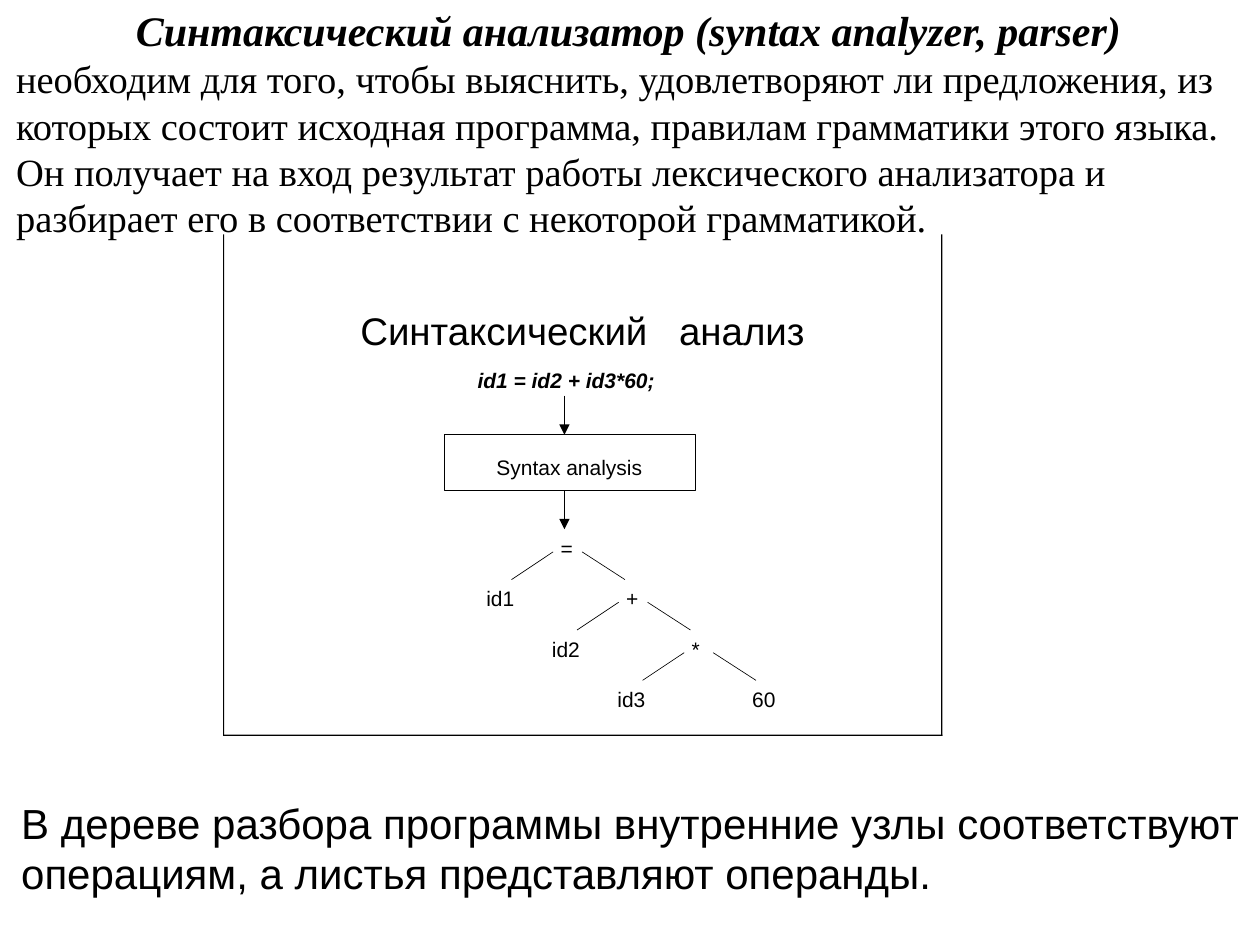
from pptx import Presentation
from pptx.dml.color import RGBColor
from pptx.enum import shapes, text
from pptx.oxml import parse_xml
from pptx.oxml.ns import nsdecls, qn
from pptx.util import Inches, Pt

BLACK = RGBColor(0, 0, 0)
THIN = Pt(0.38)
SERIF, SANS = "Times New Roman", "Arial"

TITLE = "Синтаксический анализатор (syntax analyzer, parser) "
DEFINITION = (
    "необходим для того, чтобы выяснить, удовлетворяют ли предложения, из которых "
    "состоит исходная программа, правилам грамматики этого языка. Он получает на вход "
    "результат работы лексического анализатора и разбирает его в соответствии с "
    "некоторой грамматикой."
)
CONCLUSION = (
    "В дереве разбора программы внутренние узлы соответствуют операциям, "
    "а листья представляют операнды."
)

HEADING = {"name": SANS, "size": Pt(22)}
LABEL = {"name": SANS, "size": Pt(12)}
EXPRESSION = {**LABEL, "bold": True, "italic": True}

# text, (left, top, width, height), font
DIAGRAM_LABELS = [
    ("Синтаксический", (2.86, 2.44, 2.4, 0.39), HEADING),
    ("анализ", (5.39, 2.44, 1.32, 0.39), HEADING),
    ("id1 = id2 + id3*60;", (3.79, 2.92, 1.97, 0.26), EXPRESSION),
    ("Syntax analysis", (3.94, 3.61, 1.57, 0.21), LABEL),
]
ANALYSIS_BOX = (3.53, 3.45, 1.99, 0.44)
ARROW_X = 4.48
ARROWS = [(3.14, 3.45), (3.89, 4.2)]  # top, bottom

# Each operator has a left leaf; its right child is the next operator.
TREE = [("=", "id1"), ("+", "id2"), ("*", "id3")]
LAST_LEAF = "60"
ROOT_X, ROOT_Y = 4.45, 4.25
STEP_X, STEP_Y = 0.52, 0.4
LEAF_SHIFT = -0.59
BRANCHES = [(-0.06, -0.39), (0.17, 0.51)]  # start and end, from the operator's left
BRANCH_TOP, BRANCH_BOTTOM = 0.13, 0.35

FRAME_LEFT, FRAME_TOP, FRAME_RIGHT, FRAME_BOTTOM = 1.77, 1.86, 7.48, 5.84
FRAME_LINE = 0.01


def add_text(page, place, paragraphs, margins=True):
    """Add a text box; paragraphs are (text, alignment, font) tuples."""
    box = page.shapes.add_textbox(*map(Inches, place))
    frame = box.text_frame
    frame.word_wrap = True
    if not margins:
        for side in ("left", "top", "right", "bottom"):
            setattr(frame, f"margin_{side}", 0)
    for number, (words, alignment, font) in enumerate(paragraphs):
        para = frame.add_paragraph() if number else frame.paragraphs[0]
        para.alignment = alignment
        span = para.add_run()
        span.text = words
        span.font.color.rgb = BLACK
        for key, value in font.items():
            setattr(span.font, key, value)


def add_label(page, words, place, font=LABEL):
    add_text(page, place, [(words, text.PP_ALIGN.LEFT, font)], margins=False)


def add_line(page, start, end, arrow=False):
    line = page.shapes.add_connector(
        shapes.MSO_CONNECTOR.STRAIGHT, *map(Inches, (*start, *end)))
    line.line.color.rgb = BLACK
    line.line.width = THIN
    properties = line._element.find(qn("p:spPr"))
    if arrow:
        properties.find(qn("a:ln")).append(
            parse_xml(f'<a:tailEnd {nsdecls("a")} type="triangle"/>'))
    properties.append(parse_xml(f'<a:effectLst {nsdecls("a")}/>'))


def add_rectangle(page, place):
    box = page.shapes.add_shape(shapes.MSO_SHAPE.RECTANGLE, *map(Inches, place))
    box.shadow.inherit = False
    return box


def add_tree(page):
    for level, (operator, leaf) in enumerate(TREE):
        x, y = ROOT_X + level * STEP_X, ROOT_Y + level * STEP_Y
        add_label(page, operator, (x, y, 0.14, 0.21))
        for start, end in BRANCHES:
            add_line(page, (x + start, y + BRANCH_TOP), (x + end, y + BRANCH_BOTTOM))
        add_label(page, leaf, (x + LEAF_SHIFT, y + STEP_Y, 0.32, 0.21))
    add_label(page, LAST_LEAF, (x + STEP_X - 0.04, y + STEP_Y, 0.25, 0.21))


def add_frame(page):
    """Draw the left, right and bottom bars around the diagram."""
    height = FRAME_BOTTOM - FRAME_TOP
    for place in [
        (FRAME_LEFT, FRAME_TOP, FRAME_LINE, height),
        (FRAME_RIGHT - FRAME_LINE, FRAME_TOP, FRAME_LINE, height),
        (FRAME_LEFT, FRAME_BOTTOM - FRAME_LINE, FRAME_RIGHT - FRAME_LEFT, FRAME_LINE),
    ]:
        bar = add_rectangle(page, place)
        bar.fill.solid()
        bar.fill.fore_color.rgb = BLACK
        bar.line.fill.background()


def main():
    deck = Presentation()
    deck.slide_width, deck.slide_height = Inches(10), Inches(7.5)
    page = deck.slides.add_slide(deck.slide_layouts[6])

    add_text(page, (0.03, -0.01, 10, 1.99), [
        (TITLE, text.PP_ALIGN.CENTER,
         {"name": SERIF, "size": Pt(24), "bold": True, "italic": True}),
        (DEFINITION, text.PP_ALIGN.LEFT, {"name": SERIF, "size": Pt(22)}),
    ])

    analysis = add_rectangle(page, ANALYSIS_BOX)
    analysis.fill.background()
    analysis.line.color.rgb = BLACK
    analysis.line.width = THIN
    for words, place, font in DIAGRAM_LABELS:
        add_label(page, words, place, font)
    for top, bottom in ARROWS:
        add_line(page, (ARROW_X, top), (ARROW_X, bottom), arrow=True)
    add_tree(page)
    add_frame(page)

    add_text(page, (0.07, 6.28, 9.93, 0.91), [
        (CONCLUSION, text.PP_ALIGN.LEFT, {"name": SANS, "size": Pt(24)}),
    ])
    deck.save("out.pptx")


if __name__ == "__main__":
    main()
